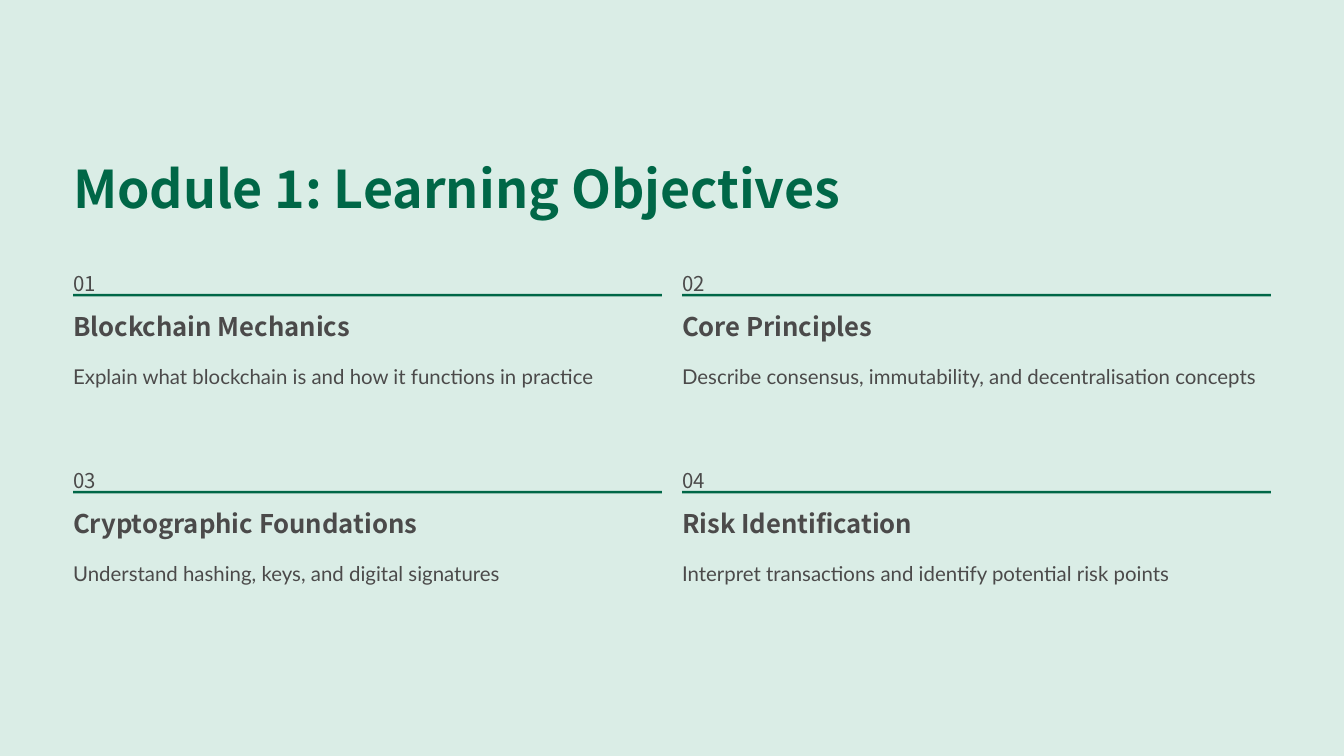
from dataclasses import dataclass

from pptx import Presentation
from pptx.dml.color import RGBColor
from pptx.enum.shapes import MSO_SHAPE
from pptx.util import Inches, Pt


@dataclass(frozen=True)
class Theme:
    background: str = "DAEDE6"
    accent: str = "006747"
    ink: str = "4B4A4A"
    heading_font: str = "Noto Sans CJK SC"
    body_font: str = "Lato"
    title_size: float = 44.5
    heading_size: float = 22
    body_size: float = 17.5
    title_leading: float = 55.5
    heading_leading: float = 27.5
    body_leading: float = 28.5


THEME = Theme()

TITLE = "Module 1: Learning Objectives"
OBJECTIVES = [
    ("Blockchain Mechanics",
     "Explain what blockchain is and how it functions in practice"),
    ("Core Principles",
     "Describe consensus, immutability, and decentralisation concepts"),
    ("Cryptographic Foundations",
     "Understand hashing, keys, and digital signatures"),
    ("Risk Identification",
     "Interpret transactions and identify potential risk points"),
]

# Grid in inches
MARGIN = 0.87
TITLE_TOP = 1.84
GRID_TOP = 3.12
COLUMN_WIDTH = 7.01
COLUMN_PITCH = 7.25
ROW_PITCH = 2.345
COLUMNS = 2


def add_text(slide, text, left, top, width, height, *, size, leading,
             font=THEME.heading_font, color=THEME.ink, bold=False):
    shape = slide.shapes.add_textbox(
        Inches(left), Inches(top), Inches(width), Inches(height))
    frame = shape.text_frame
    frame.word_wrap = True
    frame.margin_left = frame.margin_right = 0
    frame.margin_top = frame.margin_bottom = 0
    paragraph = frame.paragraphs[0]
    paragraph.line_spacing = Pt(leading)
    run = paragraph.add_run()
    run.text = text
    run.font.name = font
    run.font.size = Pt(size)
    run.font.bold = bold
    run.font.color.rgb = RGBColor.from_string(color)


def add_rule(slide, left, top, width):
    shape = slide.shapes.add_shape(
        MSO_SHAPE.RECTANGLE, Inches(left), Inches(top), Inches(width), Inches(0.03))
    shape.shadow.inherit = False
    shape.fill.solid()
    shape.fill.fore_color.rgb = RGBColor.from_string(THEME.accent)
    shape.line.fill.background()


def add_title(slide, left, top, width):
    add_text(slide, TITLE, left, top, width, 0.78, size=THEME.title_size,
             leading=THEME.title_leading, color=THEME.accent, bold=True)


def add_objective(slide, number, heading, description, left, top, width):
    # Number above the rule
    add_text(slide, f"{number:02d}", left, top, width, 0.31,
             size=THEME.body_size, leading=THEME.body_leading)
    add_rule(slide, left, top + 0.38, width)

    # Heading and description below it
    add_text(slide, heading, left, top + 0.57, width, 0.39, bold=True,
             size=THEME.heading_size, leading=THEME.heading_leading)
    add_text(slide, description, left, top + 1.11, width, 0.4,
             font=THEME.body_font, size=THEME.body_size,
             leading=THEME.body_leading)


def add_objectives(slide, left, top):
    for index, (heading, description) in enumerate(OBJECTIVES):
        row, column = divmod(index, COLUMNS)
        add_objective(slide, index + 1, heading, description,
                      left + column * COLUMN_PITCH, top + row * ROW_PITCH,
                      COLUMN_WIDTH)


def main():
    presentation = Presentation()
    presentation.slide_width = Inches(16)
    presentation.slide_height = Inches(9)
    slide = presentation.slides.add_slide(presentation.slide_layouts[6])

    # Background
    fill = slide.background.fill
    fill.solid()
    fill.fore_color.rgb = RGBColor.from_string(THEME.background)

    add_title(slide, MARGIN, TITLE_TOP, COLUMN_PITCH + COLUMN_WIDTH)
    add_objectives(slide, MARGIN, GRID_TOP)
    presentation.save("out.pptx")


if __name__ == "__main__":
    main()
